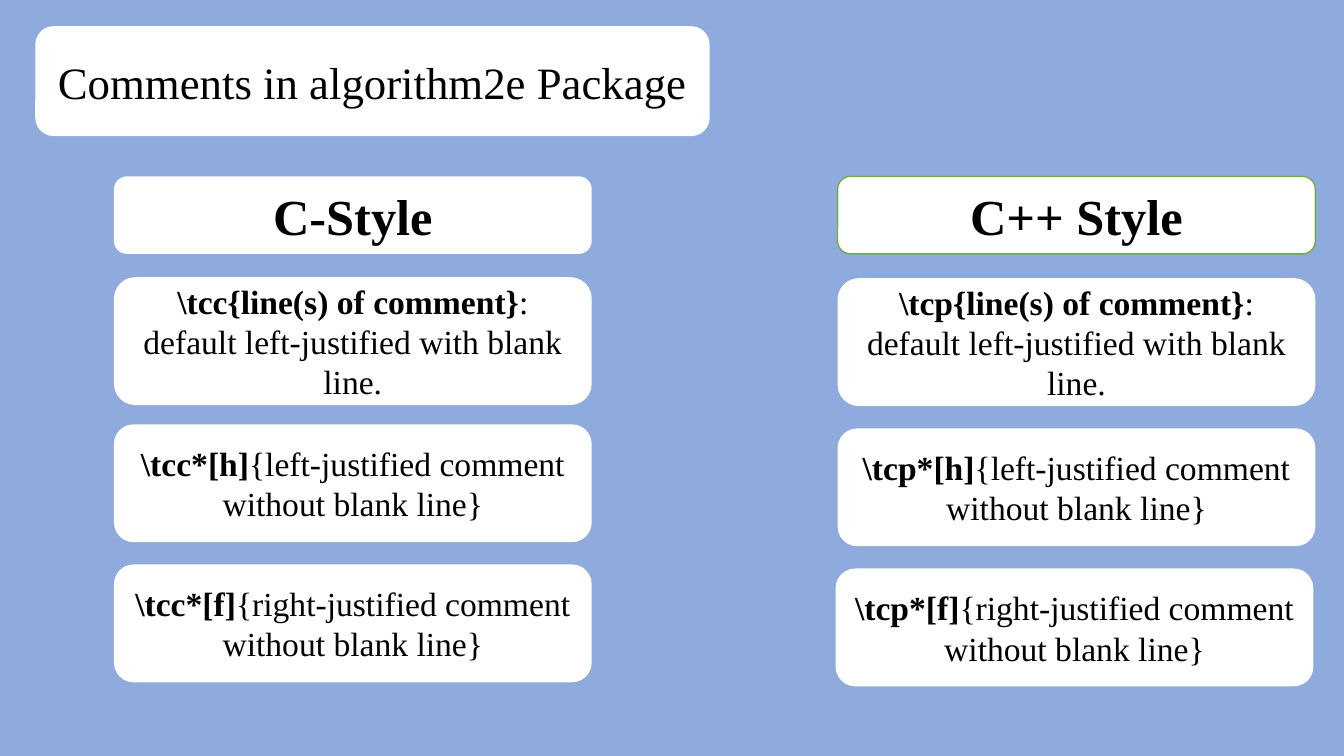
"""Build a slide comparing the C and C++ comment styles of algorithm2e."""
from pptx import Presentation
from pptx.dml.color import RGBColor
from pptx.enum import shapes, text
from pptx.util import Pt

TITLE = "Comments in algorithm2e Package"
BLANK_LINE = ": default left-justified with blank line."
LEFT_JUSTIFIED = "{left-justified comment without blank line}"
RIGHT_JUSTIFIED = "{right-justified comment without blank line}"
STYLES = [
    {"name": "C-Style", "command": r"\tcc", "border": None,
     "lefts": (81.4, 81.4, 81.4, 81.4), "tops": (126, 198, 303.1, 403.2)},
    {"name": "C++ Style", "command": r"\tcp", "border": "green",
     "lefts": (598.3, 598.3, 598.3, 596.9), "tops": (126, 198.7, 306, 406.1)},
]
USAGES = [
    ("{line(s) of comment}", BLANK_LINE),
    ("*[h]", LEFT_JUSTIFIED),
    ("*[f]", RIGHT_JUSTIFIED),
]
COLORS = {"background": "8FAADC", "card": "FFFFFF", "ink": "000000", "green": "70AD47"}
FONT = "Times New Roman"
TITLE_BOX = (25.2, 18.7, 481.7, 78.5)
CARD_WIDTH = 341.3
CARD_HEIGHTS = (55.4, 91.4, 84.2, 84.2)


def color(key):
    return RGBColor.from_string(COLORS[key])


def write(holder, runs, size):
    frame = holder.text_frame
    frame.word_wrap = True
    frame.auto_size = text.MSO_AUTO_SIZE.NONE
    frame.vertical_anchor = text.MSO_ANCHOR.MIDDLE
    line = frame.paragraphs[0]
    line.alignment = text.PP_ALIGN.CENTER
    for words, bold in runs:
        run = line.add_run()
        run.text = words
        run.font.name = FONT
        run.font.size = Pt(size)
        run.font.bold = bold
        run.font.color.rgb = color("ink")


def add_card(slide, box, border=None):
    card = slide.shapes.add_shape(
        shapes.MSO_SHAPE.ROUNDED_RECTANGLE, *(Pt(length) for length in box))
    card.shadow.inherit = False
    card.fill.solid()
    card.fill.fore_color.rgb = color("card")
    if border:
        card.line.color.rgb = color(border)
        card.line.width = Pt(1)
    else:
        card.line.fill.background()
    return card


def add_title(slide):
    add_card(slide, TITLE_BOX)
    title = slide.shapes.title
    title.left, title.top, title.width, title.height = (Pt(length) for length in TITLE_BOX)
    write(title, [(TITLE, False)], 32)
    slide.shapes._spTree.append(title._element)


def add_style(slide, style):
    entries = [([(style["name"], True)], 36, style["border"])]
    for option, meaning in USAGES:
        entries.append(([(style["command"] + option, True), (meaning, False)], 24, None))
    for (runs, size, border), left, top, height in zip(
            entries, style["lefts"], style["tops"], CARD_HEIGHTS):
        card = add_card(slide, (left, top, CARD_WIDTH, height), border)
        write(card, runs, size)


def main():
    deck = Presentation()
    deck.slide_width, deck.slide_height = Pt(960), Pt(540)
    slide = deck.slides.add_slide(deck.slide_layouts[5])
    slide.background.fill.solid()
    slide.background.fill.fore_color.rgb = color("background")
    add_title(slide)
    for style in STYLES:
        add_style(slide, style)
    deck.save("out.pptx")


if __name__ == "__main__":
    main()
